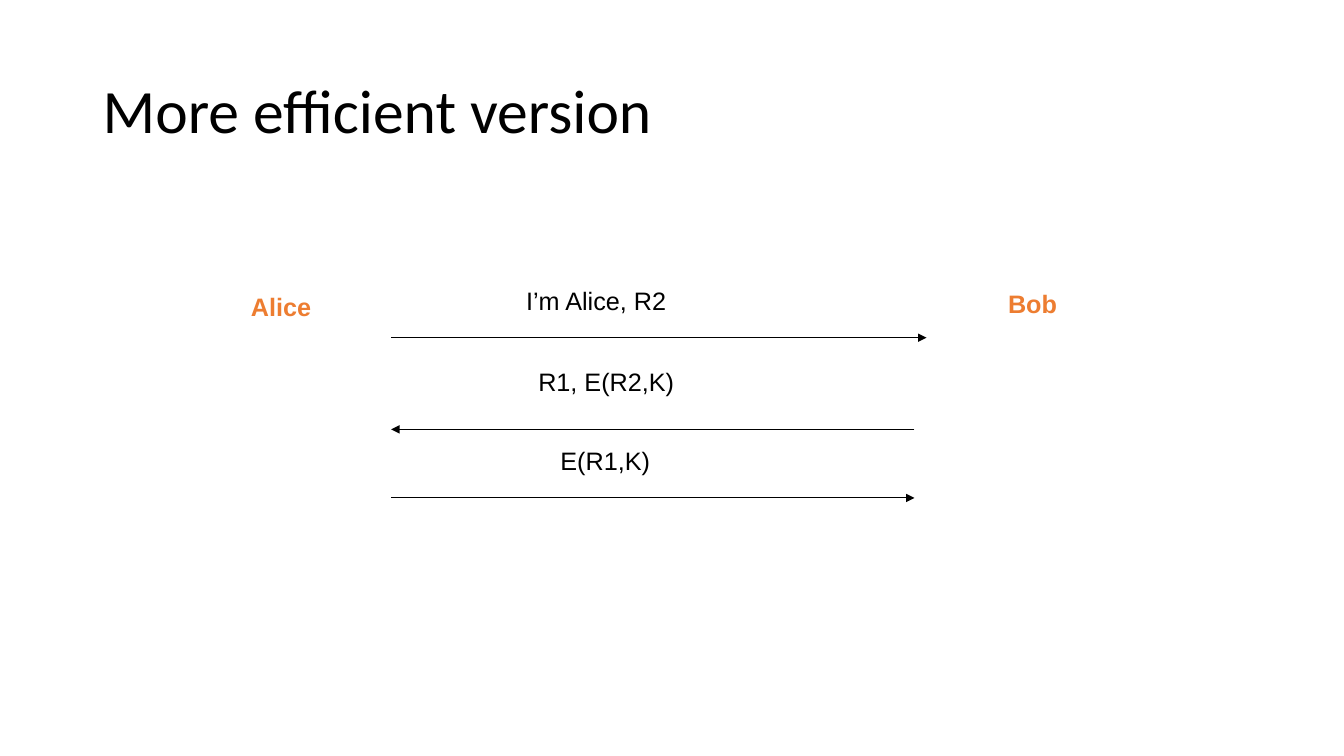
import pptx
import pptx.util
import pptx.dml.color
import pptx.enum.shapes
import pptx.enum.text
import pptx.oxml.ns
from lxml import etree

Inches = pptx.util.Inches
Pt = pptx.util.Pt

COLORS = {"text": "000000", "party": "ED7D31", "background": "FFFFFF"}
TITLE = ("More efficient version", 0.92, 0.4, 11.5, 1.45)
PARTIES = [
    ("Alice", 2.39, 2.84, 1.08, 0.54),
    ("Bob", 9.9, 2.81, 0.93, 0.54),
]
MESSAGES = [
    ("I’m Alice, R2", 5.12, 2.78, 2.17, 0.54),
    ("R1, E(R2,K)", 5.24, 3.58, 2.12, 0.55),
    ("E(R1,K)", 5.46, 4.37, 1.49, 0.55),
]
ARROWS = [
    (3.88, 9.19, 3.35),
    (9.07, 3.88, 4.26),
    (3.88, 9.07, 4.94),
]


def rgb(name):
    return pptx.dml.color.RGBColor.from_string(COLORS[name])


def add_text(s, item, size=18, font="Arial", color="text", bold=False):
    text, *box = item
    tf = s.shapes.add_textbox(*map(Inches, box)).text_frame
    tf.word_wrap = True
    p = tf.paragraphs[0]
    r = p.add_run()
    r.text = text
    r.font.name = font
    r.font.size = Pt(size)
    r.font.bold = bold
    r.font.color.rgb = rgb(color)
    return tf


def add_arrow(s, start, end, y):
    line = s.shapes.add_connector(
        pptx.enum.shapes.MSO_CONNECTOR.STRAIGHT,
        Inches(start), Inches(y), Inches(end), Inches(y))
    line.line.color.rgb = rgb("text")
    line.line.width = Pt(0.75)
    qn = pptx.oxml.ns.qn
    ln = line.line._get_or_add_ln()
    etree.SubElement(ln, qn("a:tailEnd"), type="triangle")
    etree.SubElement(line._element.spPr, qn("a:effectLst"))


def main():
    prs = pptx.Presentation()
    prs.slide_width = Inches(13.33)
    prs.slide_height = Inches(7.5)
    s = prs.slides.add_slide(prs.slide_layouts[6])
    s.background.fill.solid()
    s.background.fill.fore_color.rgb = rgb("background")

    tf = add_text(s, TITLE, size=44, font="Calibri")
    tf.vertical_anchor = pptx.enum.text.MSO_ANCHOR.MIDDLE
    tf.paragraphs[0].line_spacing = 0.9

    for party in PARTIES:
        add_text(s, party, color="party", bold=True)
    for message, arrow in zip(MESSAGES, ARROWS):
        add_text(s, message)
        add_arrow(s, *arrow)

    prs.save("out.pptx")


if __name__ == "__main__":
    main()
